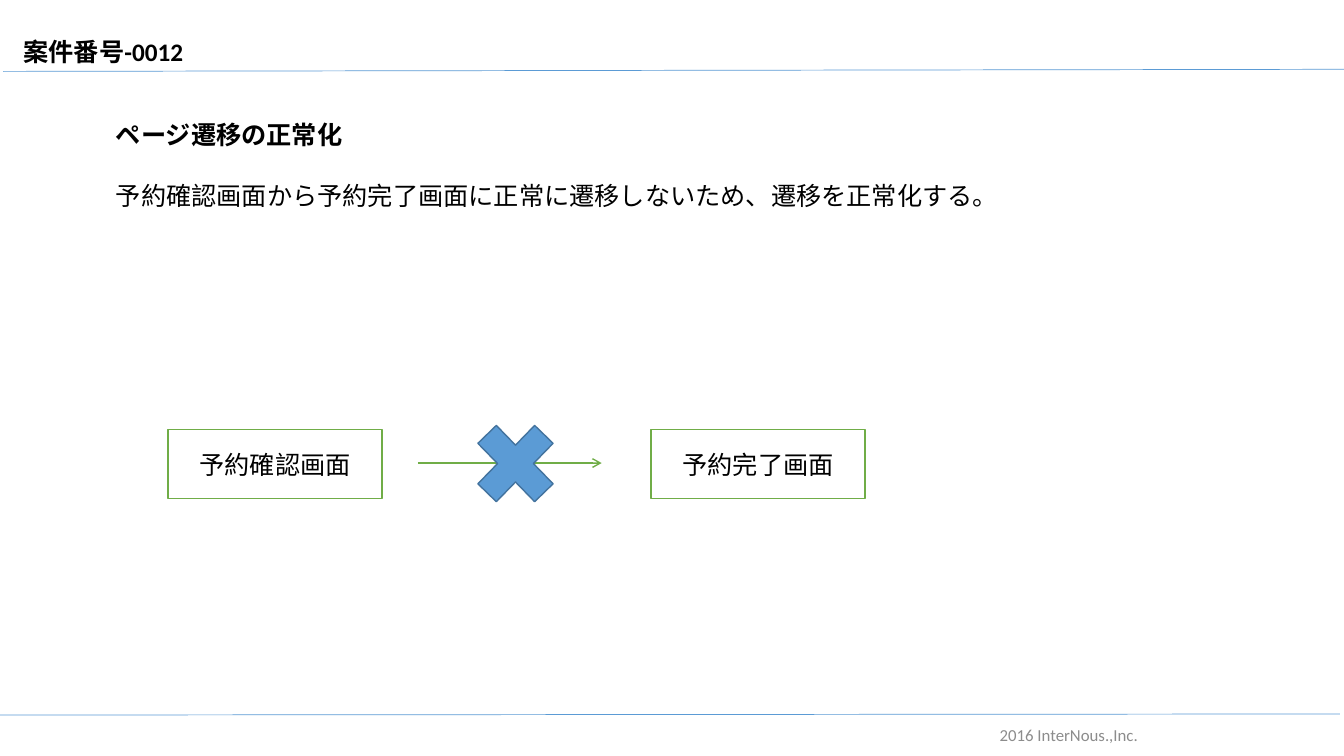
from lxml import etree
from pptx import Presentation
from pptx.dml.color import RGBColor
from pptx.enum.shapes import MSO_CONNECTOR, MSO_SHAPE
from pptx.enum.text import MSO_ANCHOR, MSO_AUTO_SIZE, PP_ALIGN
from pptx.oxml.ns import qn
from pptx.util import Pt

PX = 9525
STRAIGHT = MSO_CONNECTOR.STRAIGHT
RECTANGLE = MSO_SHAPE.RECTANGLE
CROSS = MSO_SHAPE.MATH_MULTIPLY
MIDDLE = MSO_ANCHOR.MIDDLE
TOP = MSO_ANCHOR.TOP
GROW = MSO_AUTO_SIZE.SHAPE_TO_FIT_TEXT
FIXED = MSO_AUTO_SIZE.NONE
CENTER = PP_ALIGN.CENTER
LEFT = PP_ALIGN.LEFT

BLACK = RGBColor(0x00, 0x00, 0x00)
WHITE = RGBColor(0xFF, 0xFF, 0xFF)
GRAY = RGBColor(0x8C, 0x8C, 0x8C)
BLUE = RGBColor(0x5B, 0x9B, 0xD5)
DARK_BLUE = RGBColor(0x43, 0x73, 0x9E)
GREEN = RGBColor(0x70, 0xAD, 0x47)

BODY = {"name": "Calibri", "size": Pt(18), "bold": False}
HEADING = {**BODY, "bold": True}
FOOTER = {**BODY, "size": Pt(12)}


def scaled(*lengths):
    return [length * PX for length in lengths]


def write(para, text, style, color=BLACK, align=LEFT):
    para.alignment = align
    span = para.add_run()
    span.text = text
    for name, value in style.items():
        setattr(span.font, name, value)
    span.font.color.rgb = color


def add_text(page, bounds, anchor=TOP, auto_size=GROW):
    frame = page.shapes.add_textbox(*scaled(*bounds)).text_frame
    layout = {"word_wrap": True, "auto_size": auto_size, "vertical_anchor": anchor}
    for name, value in layout.items():
        setattr(frame, name, value)
    return frame


def add_line(page, ends, color, width, arrow=False):
    line = page.shapes.add_connector(STRAIGHT, *scaled(*ends))
    line.line.color.rgb = color
    line.line.width = Pt(width)
    properties = line._element.spPr
    if arrow:
        etree.SubElement(properties.find(qn("a:ln")), qn("a:tailEnd"), type="arrow")
    etree.SubElement(properties, qn("a:effectLst"))


def add_figure(page, kind, bounds, fill, outline):
    figure = page.shapes.add_shape(kind, *scaled(*bounds))
    figure.shadow.inherit = False
    figure.fill.solid()
    figure.fill.fore_color.rgb = fill
    figure.line.color.rgb = outline
    figure.line.width = Pt(1)
    return figure


def add_screen(page, left, text):
    box = add_figure(page, RECTANGLE, (left, 409, 204, 66), WHITE, GREEN)
    box.text_frame.vertical_anchor = MIDDLE
    write(box.text_frame.paragraphs[0], text, BODY, align=CENTER)


def main():
    deck = Presentation()
    deck.slide_width, deck.slide_height = scaled(1280, 720)
    page = deck.slides.add_slide(deck.slide_layouts[6])

    for ends in ((3, 68, 1281, 66), (-2, 681, 1276, 680)):
        add_line(page, ends, BLUE, 0.5)

    footer = add_text(page, (758, 681, 520, 38), MIDDLE, FIXED)
    write(footer.paragraphs[0], "2016 InterNous.,Inc.", FOOTER, GRAY, CENTER)

    title = add_text(page, (13, 30, 1218, 38))
    write(title.paragraphs[0], "案件番号-0012", HEADING)

    summary = add_text(page, (101, 109, 886, 96))
    write(summary.paragraphs[0], "ページ遷移の正常化", HEADING)
    detail = summary.add_paragraph()
    detail.space_before = Pt(22)
    write(detail, "予約確認画面から予約完了画面に正常に遷移しないため、遷移を正常化する。", BODY)

    add_screen(page, 160, "予約確認画面")
    add_screen(page, 620, "予約完了画面")
    add_line(page, (398, 441, 573, 441), GREEN, 1, arrow=True)
    add_figure(page, CROSS, (439, 388, 104, 107), BLUE, DARK_BLUE)

    deck.save("out.pptx")


if __name__ == "__main__":
    main()
